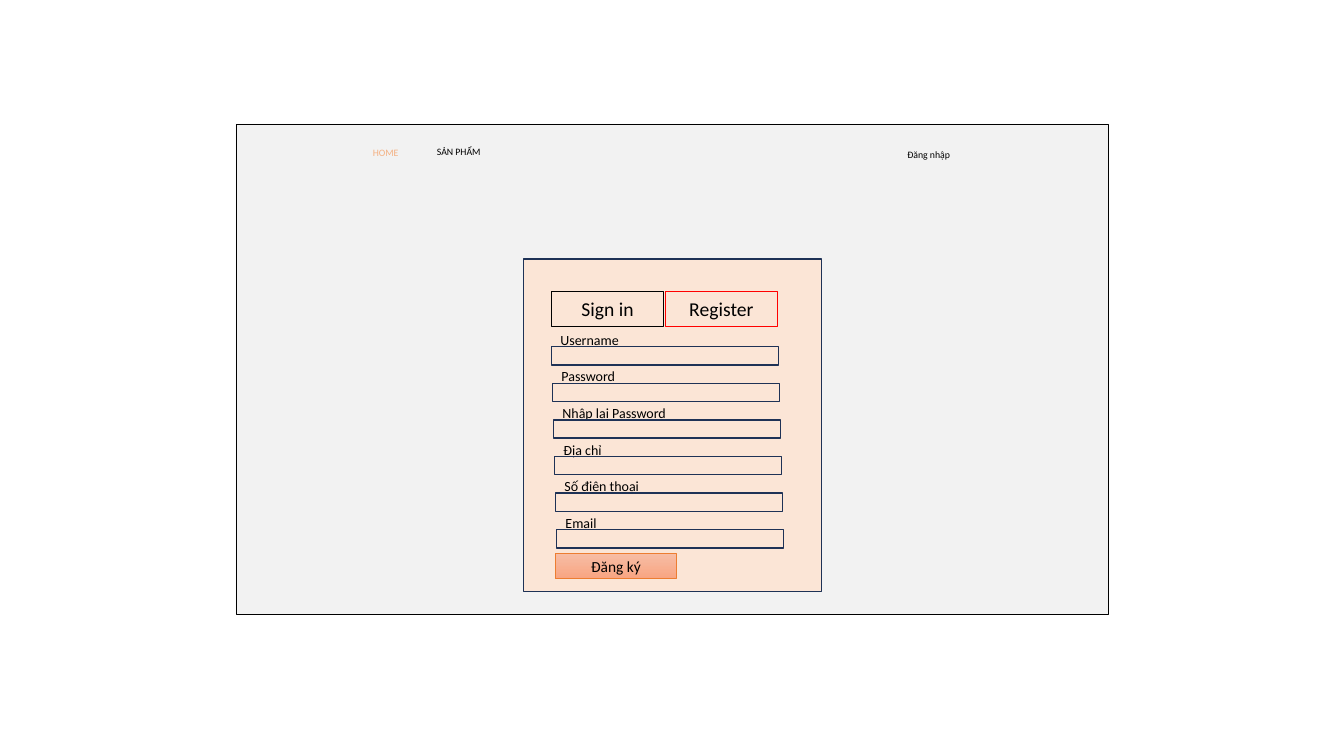
from pptx import Presentation
from pptx import util as u
from pptx.dml import color
from pptx.enum import shapes, text

CELL = 0.1
INK, NAVY = "000000", "1E3256"


def rgb(hex_code):
    return color.RGBColor.from_string(hex_code)


class Wireframe:
    font = "Calibri"

    def __init__(self, slide):
        self.slide = slide

    def grid(self, *cells):
        return [u.Inches(cell * CELL) for cell in cells]

    def set_words(self, holder, words, size, ink, align, anchor):
        frame = holder.text_frame
        frame.word_wrap = True
        frame.vertical_anchor = anchor
        paragraph = frame.paragraphs[0]
        paragraph.text = words
        paragraph.alignment = align
        paragraph.font.name = self.font
        paragraph.font.size = u.Pt(size)
        paragraph.font.color.rgb = rgb(ink)

    def label(self, words, area, size, ink=INK, align=text.PP_ALIGN.LEFT,
              anchor=text.MSO_ANCHOR.TOP):
        holder = self.slide.shapes.add_textbox(*self.grid(*area))
        self.set_words(holder, words, size, ink, align, anchor)

    def box(self, area, outline=NAVY, weight=1, fill=None):
        rect = self.slide.shapes.add_shape(shapes.MSO_SHAPE.RECTANGLE, *self.grid(*area))
        rect.shadow.inherit = False
        rect.line.color.rgb = rgb(outline)
        rect.line.width = u.Pt(weight)
        if fill:
            rect.fill.solid()
            rect.fill.fore_color.rgb = rgb(fill)
        else:
            rect.fill.background()
        return rect

    def button(self, words, area, outline, size=14, weight=1, gradient=()):
        rect = self.box(area, outline, weight)
        if gradient:
            rect.fill.gradient()
            rect.fill.gradient_angle = 270
            for stop, shade in zip(rect.fill.gradient_stops, gradient):
                stop.color.rgb = rgb(shade)
        self.set_words(rect, words, size, INK, text.PP_ALIGN.CENTER, text.MSO_ANCHOR.MIDDLE)

    def field(self, words, left, top):
        self.label(words, (left, top, 22.5, 1.6), 10, anchor=text.MSO_ANCHOR.MIDDLE)
        self.box((left + 0.1, top + 1.5, 22.5, 1.8))


def main():
    deck = Presentation()
    deck.slide_width, deck.slide_height = u.Inches(13.33), u.Inches(7.5)
    page = Wireframe(deck.slides.add_slide(deck.slide_layouts[6]))

    page.box((23.4, 12.3, 86.5, 48.6), INK, 0.25, "F2F2F2")
    page.label("HOME", (34.8, 14.1, 6.9, 2), 7, "F4B183", text.PP_ALIGN.CENTER)
    page.label("SẢN PHẨM", (41.6, 14, 7.8, 2.5), 7, align=text.PP_ALIGN.CENTER)
    page.label("Đăng nhập", (89, 14.3, 6.9, 2), 7)

    page.box((51.9, 25.7, 29.6, 33), fill="FBE5D6")
    for column, (tab, outline) in enumerate([("Sign in", INK), ("Register", "FF0000")]):
        page.button(tab, (54.7 + 11.3 * column, 28.9, 11.1, 3.5), outline)

    fields = ["Username", "Password", "Nhập lại Password", "Địa chỉ", "Số điện thoại", "Email"]
    for row, name in enumerate(fields):
        page.field(name, 54.6 + 0.1 * row, 32.9 + 3.63 * row)

    page.button("Đăng ký", (55.1, 54.9, 12, 2.5), "ED7D31", 11, 0.5, ("F7BDA5", "F8A582"))
    deck.save("out.pptx")


if __name__ == "__main__":
    main()
